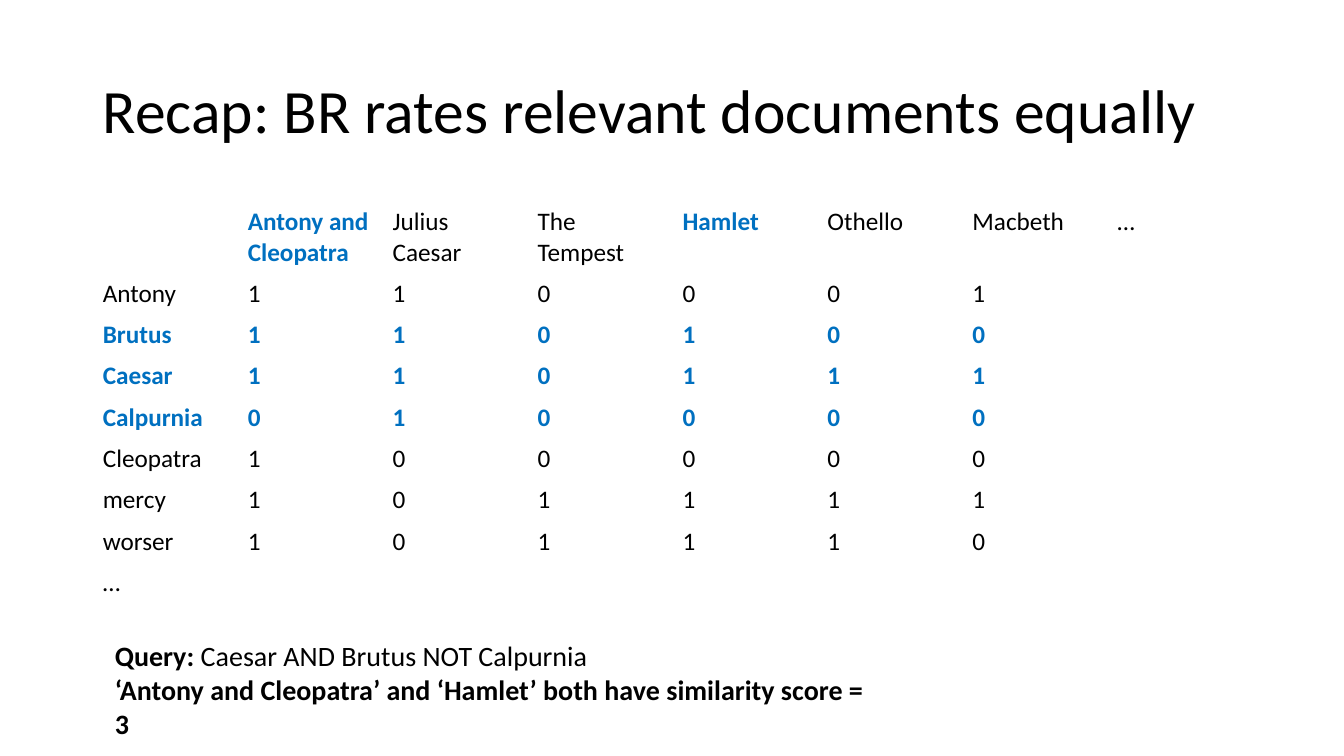
from pptx import Presentation
from pptx.dml.color import RGBColor
from pptx.enum.text import MSO_ANCHOR, MSO_AUTO_SIZE, PP_ALIGN
from pptx.util import Inches, Pt

BLACK, BLUE = "000000", "0070C0"
PLAYS = ["Antony and Cleopatra", "Julius Caesar", "The Tempest", "Hamlet", "Othello", "Macbeth", "…"]
INCIDENCE = {
    "Antony": "110001",
    "Brutus": "110100",
    "Caesar": "110111",
    "Calpurnia": "010000",
    "Cleopatra": "100000",
    "mercy": "101111",
    "worser": "101110",
    "…": "",
}
QUERY_TERMS = {"Brutus", "Caesar", "Calpurnia"}
MATCHES = {"Antony and Cleopatra", "Hamlet"}


def rgb(value):
    """Turn a hex string into a colour."""
    return RGBColor.from_string(value)


def add_run(p, text, size, color=BLACK, bold=False):
    """Append one formatted run to a paragraph."""
    r = p.add_run()
    r.text = text
    r.font.name = "Calibri"
    r.font.size = Pt(size)
    r.font.bold = bold
    r.font.color.rgb = rgb(color)


def add_title(s, x, y, w, h):
    """Place and fill the title placeholder."""
    title = s.shapes.title
    title.left, title.top, title.width, title.height = map(Inches, (x, y, w, h))
    tf = title.text_frame
    tf.vertical_anchor = MSO_ANCHOR.MIDDLE
    p = tf.paragraphs[0]
    p.alignment = PP_ALIGN.LEFT
    p.line_spacing = 0.9
    add_run(p, "Recap: BR rates relevant documents equally", 44)


def add_incidence_table(s, x, y, w, row_h):
    """Draw the term-document matrix, with query terms and matches in blue."""
    rows = [["", *PLAYS]] + [[term, *bits] for term, bits in INCIDENCE.items()]
    cols = len(rows[0])
    table = s.shapes.add_table(len(rows), cols, Inches(x), Inches(y),
                               Inches(w), Inches(row_h * len(rows))).table
    table.first_row = table.horz_banding = False
    for column in table.columns:
        column.width = Inches(w / cols)
    for i, values in enumerate(rows):
        table.rows[i].height = Inches(row_h)
        for j in range(cols):
            cell = table.cell(i, j)
            cell.fill.background()
            if j < len(values) and values[j]:
                marked = values[j] in MATCHES if i == 0 else values[0] in QUERY_TERMS
                add_run(cell.text_frame.paragraphs[0], values[j], 18,
                        BLUE if marked else BLACK, marked)


def add_query(s, x, y, w, h):
    """Write the query and its result below the table."""
    tf = s.shapes.add_textbox(Inches(x), Inches(y), Inches(w), Inches(h)).text_frame
    tf.word_wrap = True
    tf.auto_size = MSO_AUTO_SIZE.SHAPE_TO_FIT_TEXT
    p = tf.paragraphs[0]
    add_run(p, "Query: ", 20, bold=True)
    add_run(p, "Caesar AND Brutus NOT Calpurnia", 20)
    add_run(tf.add_paragraph(),
            "‘Antony and Cleopatra’ and ‘Hamlet’ both have similarity score = 3", 20, bold=True)


def main():
    """Build and save the slide."""
    prs = Presentation()
    prs.slide_width, prs.slide_height = Inches(13.33), Inches(7.5)
    s = prs.slides.add_slide(prs.slide_layouts[5])
    add_title(s, 0.92, 0.4, 11.5, 1.45)
    add_incidence_table(s, 0.92, 2, 11.5, 0.41)
    add_query(s, 1.04, 6.29, 7.82, 0.77)
    prs.save("out.pptx")


if __name__ == "__main__":
    main()
